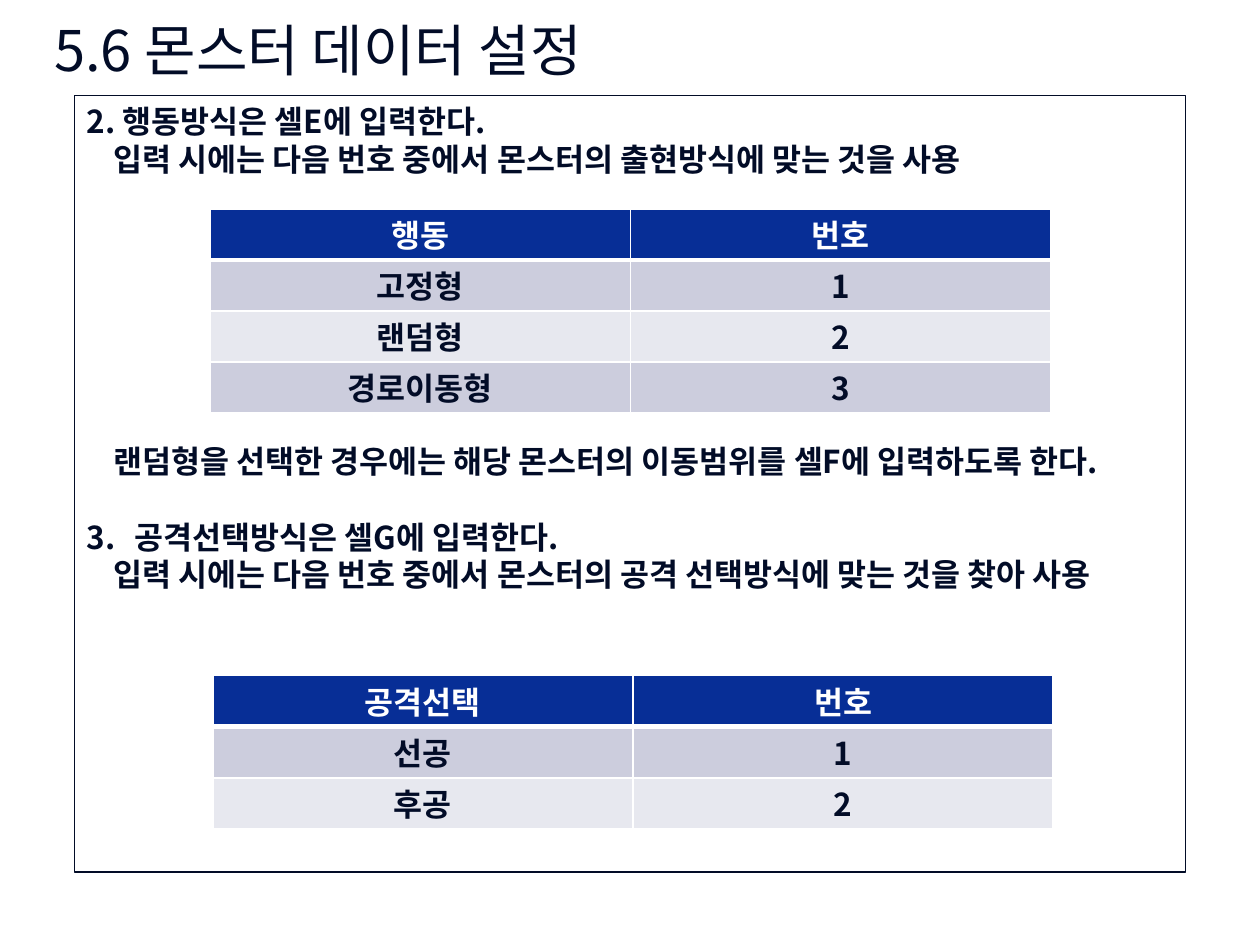
from lxml.etree import SubElement
from pptx import Presentation
from pptx.dml.color import RGBColor
from pptx.enum.shapes import MSO_SHAPE
from pptx.enum.text import MSO_ANCHOR, PP_ALIGN
from pptx.oxml.ns import qn
from pptx.util import Cm, Pt

# Content
TITLE = "5.6 몬스터 데이터 설정"
# text, blank lines before, left indent in cm, automatic number
LINES = [
    ("2. 행동방식은 셀E에 입력한다.", 0, 0, None),
    ("입력 시에는 다음 번호 중에서 몬스터의 출현방식에 맞는 것을 사용", 0, 0.54, None),
    ("랜덤형을 선택한 경우에는 해당 몬스터의 이동범위를 셀F에 입력하도록 한다.", 7, 0.54, None),
    ("공격선택방식은 셀G에 입력한다.", 1, 0.97, 3),
    ("입력 시에는 다음 번호 중에서 몬스터의 공격 선택방식에 맞는 것을 찾아 사용", 0, 0.54, None),
]
# left and top in cm, rows
TABLES = [
    (4.24, 4.21, [("행동", "번호"), ("고정형", "1"), ("랜덤형", "2"), ("경로이동형", "3")]),
    (4.29, 13.62, [("공격선택", "번호"), ("선공", "1"), ("후공", "2")]),
]

# Look
FONT = "Noto Sans CJK KR"
INK, WHITE, HEADER = "020C27", "FFFFFF", "072E96"
BANDS = ["CCCDDD", "E7E8EF"]
LINE_PITCH = 21.6
COLUMN_WIDTH, ROW_HEIGHT = 8.47, 1.03


def color(value):
    return RGBColor.from_string(value)


def write(para, text, size=18, ink=INK, bold=True, align=PP_ALIGN.LEFT, pitch=LINE_PITCH):
    para.alignment = align
    if pitch:
        para.line_spacing = Pt(pitch)
    span = para.add_run()
    span.text = text
    font = span.font
    font.name, font.size, font.bold = FONT, Pt(size), bold
    font.color.rgb = color(ink)
    SubElement(font._element, qn("a:ea"), typeface=FONT)


def indent(para, left, number):
    properties = para._p.get_or_add_pPr()
    properties.set("marL", str(Cm(left)))
    if number:
        properties.set("indent", str(-Cm(left)))
        SubElement(properties, qn("a:buFont"), typeface=FONT)
        SubElement(properties, qn("a:buAutoNum"), type="arabicPeriod", startAt=str(number))


def set_borders(cell, bottom):
    properties = cell._tc.get_or_add_tcPr()
    widths = {"a:lnL": 1, "a:lnR": 1, "a:lnT": 1, "a:lnB": bottom}
    for position, (tag, width) in enumerate(widths.items()):
        line = SubElement(properties, qn(tag), w=str(Pt(width)))
        properties.insert(position, line)
        SubElement(SubElement(line, qn("a:solidFill")), qn("a:srgbClr"), val=WHITE)


def add_grid(page, left, top, rows):
    table = page.shapes.add_table(
        len(rows), len(rows[0]), Cm(left), Cm(top),
        Cm(COLUMN_WIDTH * len(rows[0])), Cm(ROW_HEIGHT * len(rows))).table
    for column in table.columns:
        column.width = Cm(COLUMN_WIDTH)
    for index, row in enumerate(rows):
        table.rows[index].height = Cm(ROW_HEIGHT)
        for position, text in enumerate(row):
            cell = table.cell(index, position)
            cell.margin_top, cell.margin_bottom = Cm(0.2), Cm(0.05)
            cell.fill.solid()
            cell.fill.fore_color.rgb = color(BANDS[(index - 1) % 2] if index else HEADER)
            # The rule under the header is thicker
            set_borders(cell, bottom=1 if index else 3)
            write(cell.text_frame.paragraphs[0], text,
                  ink=INK if index else WHITE, align=PP_ALIGN.CENTER)


def main():
    deck = Presentation()
    deck.slide_width, deck.slide_height = Cm(25.4), Cm(19.05)
    page = deck.slides.add_slide(deck.slide_layouts[5])

    # Title
    title = page.shapes.title
    title.left, title.top, title.width, title.height = Cm(0.84), Cm(0), Cm(22.86), Cm(1.98)
    title.text_frame.vertical_anchor = MSO_ANCHOR.MIDDLE
    write(title.text_frame.paragraphs[0], TITLE, size=32, bold=False, pitch=None)

    # Framed instructions
    box = page.shapes.add_shape(MSO_SHAPE.RECTANGLE, Cm(1.5), Cm(1.93), Cm(22.4), Cm(15.65))
    box.shadow.inherit = False
    box.fill.background()
    box.line.color.rgb = color(INK)
    box.line.width = Pt(0.75)
    frame = box.text_frame
    frame.word_wrap = True
    frame.vertical_anchor = MSO_ANCHOR.TOP
    for index, (text, blanks, left, number) in enumerate(LINES):
        para = frame.add_paragraph() if index else frame.paragraphs[0]
        write(para, text)
        para.space_before = Pt(blanks * LINE_PITCH)
        indent(para, left, number)

    # Number tables
    for left, top, rows in TABLES:
        add_grid(page, left, top, rows)

    deck.save("out.pptx")


if __name__ == "__main__":
    main()
